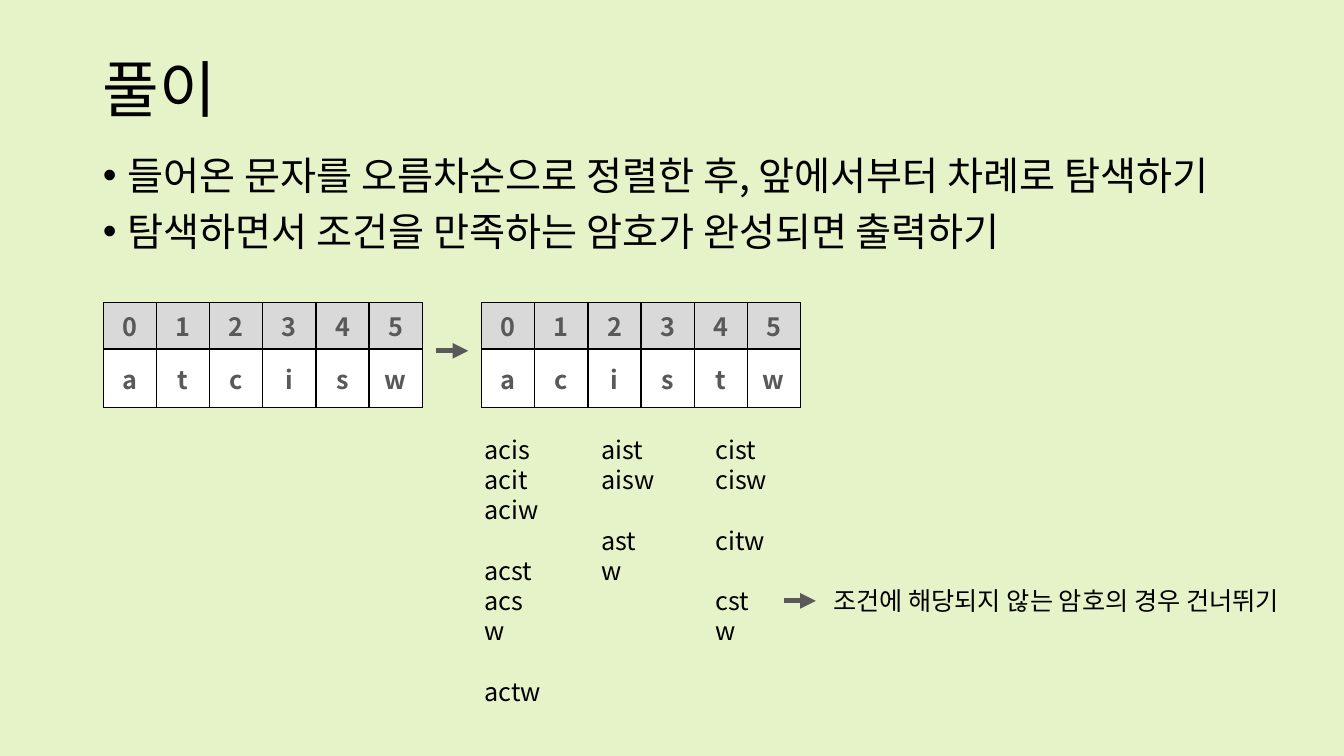
from dataclasses import dataclass
from typing import Any

from lxml.etree import SubElement
from pptx import Presentation
from pptx.dml.color import RGBColor
from pptx.enum.shapes import MSO_CONNECTOR
from pptx.enum.text import MSO_ANCHOR, MSO_AUTO_SIZE, PP_ALIGN
from pptx.oxml.ns import qn
from pptx.util import Cm, Pt

HUES = {"back": "E6F3C9", "ink": "000000", "gray": "595959", "head": "D9D9D9", "cell": "FFFFFF"}
FACE = "Noto Sans CJK KR"
LINE = Pt(21.6)
TOP = 10.82

FRAME = {"word_wrap": True, "auto_size": MSO_AUTO_SIZE.NONE}
TITLE = {"alignment": PP_ALIGN.LEFT, "line_spacing": 0.9}
LIST = {"alignment": PP_ALIGN.LEFT, "line_spacing": 0.9, "space_before": Pt(10)}
CENTER = {"alignment": PP_ALIGN.CENTER}


@dataclass
class Grid:
    left: float
    word: str


@dataclass
class Codes:
    left: float
    width: float
    groups: list[list[str]]


@dataclass
class Arrow:
    left: float
    top: float


GRIDS = [Grid(2.61, "atcisw"), Grid(12.14, "acistw")]
CODES = [
    Codes(11.96, 1.93, [["acis", "acit", "aciw"], ["acst", "acsw"], ["actw"]]),
    Codes(14.91, 1.87, [["aist", "aisw"], ["astw"]]),
    Codes(17.78, 1.82, [["cist", "cisw"], ["citw"], ["cstw"]]),
]
ARROWS = [Arrow(11.0, 8.84), Arrow(19.76, 15.14)]


def tint(key: str) -> RGBColor:
    return RGBColor.from_string(HUES[key])


def dress(item: Any, form: dict[str, Any]) -> None:
    for name, value in form.items():
        setattr(item, name, value)


def place(item: Any, left: float, top: float, width: float, height: float) -> None:
    dress(item, {"left": Cm(left), "top": Cm(top), "width": Cm(width), "height": Cm(height)})


def write(para: Any, text: str, size: int, hue: str = "ink", bold: bool = False) -> None:
    run = para.add_run()
    run.text = text
    dress(run.font, {"name": FACE, "size": Pt(size), "bold": bold})
    run.font.color.rgb = tint(hue)
    SubElement(run.font._element, qn("a:ea"), typeface=FACE)


def next_para(frame: Any, first: bool) -> Any:
    return frame.paragraphs[0] if first else frame.add_paragraph()


def add_title(slide: Any, text: str) -> None:
    title = slide.shapes.title
    place(title, 2.34, 1.02, 29.2, 2.64)
    dress(title.text_frame, FRAME | {"vertical_anchor": MSO_ANCHOR.MIDDLE})
    para = title.text_frame.paragraphs[0]
    dress(para, TITLE)
    write(para, text, 44)


def add_list(slide: Any, lines: list[str]) -> None:
    body = slide.placeholders[1]
    place(body, 2.34, 3.81, 29.3, 14.22)
    dress(body.text_frame, FRAME)
    for i, text in enumerate(lines):
        para = next_para(body.text_frame, i == 0)
        dress(para, LIST)
        props = para._p.get_or_add_pPr()
        props.set("marL", str(Cm(0.63)))
        props.set("indent", str(-Cm(0.63)))
        SubElement(props, qn("a:buFont"), typeface="Arial")
        SubElement(props, qn("a:buChar"), char="•")
        write(para, text, 28)


def edge(cell: Any) -> None:
    props = cell._tc.get_or_add_tcPr()
    for side in ("lnL", "lnR", "lnT", "lnB"):
        line = SubElement(props, qn(f"a:{side}"), w=str(Pt(1)))
        fill = SubElement(line, qn("a:solidFill"))
        SubElement(fill, qn("a:srgbClr"), val=HUES["ink"])


def add_grid(slide: Any, grid: Grid) -> None:
    count = len(grid.word)
    table = slide.shapes.add_table(
        2, count, Cm(grid.left), Cm(7.62), Cm(8.03), Cm(2.36)
    ).table
    for row, tall in zip(table.rows, (0.89, 1.47)):
        row.height = Cm(tall)
    rows = [("head", range(count)), ("cell", grid.word)]
    for r, (hue, marks) in enumerate(rows):
        for c, mark in enumerate(marks):
            cell = table.cell(r, c)
            edge(cell)
            cell.fill.solid()
            cell.fill.fore_color.rgb = tint(hue)
            cell.vertical_anchor = MSO_ANCHOR.MIDDLE
            para = cell.text_frame.paragraphs[0]
            dress(para, CENTER)
            write(para, str(mark), 18, "gray", True)


def add_text(slide: Any, left: float, top: float, width: float, groups: list[list[str]]) -> None:
    box = slide.shapes.add_textbox(Cm(left), Cm(top), Cm(width), Cm(1.03))
    dress(box.text_frame, FRAME | {"auto_size": MSO_AUTO_SIZE.SHAPE_TO_FIT_TEXT})
    for g, group in enumerate(groups):
        for i, text in enumerate(group):
            para = next_para(box.text_frame, g == i == 0)
            para.space_before = LINE if g and i == 0 else Pt(0)
            write(para, text, 18)


def add_arrow(slide: Any, arrow: Arrow) -> None:
    y = Cm(arrow.top)
    link = slide.shapes.add_connector(
        MSO_CONNECTOR.STRAIGHT, Cm(arrow.left), y, Cm(arrow.left + 0.8), y
    )
    link.line.width = Pt(3.75)
    link.line.color.rgb = tint("gray")
    SubElement(link.line._get_or_add_ln(), qn("a:tailEnd"), type="triangle")
    SubElement(link._element.spPr, qn("a:effectLst"))


def main() -> None:
    deck = Presentation()
    dress(deck, {"slide_width": Cm(33.87), "slide_height": Cm(19.05)})
    slide = deck.slides.add_slide(deck.slide_layouts[1])
    slide.background.fill.solid()
    slide.background.fill.fore_color.rgb = tint("back")
    add_title(slide, "풀이")
    add_list(slide, [
        "들어온 문자를 오름차순으로 정렬한 후, 앞에서부터 차례로 탐색하기",
        "탐색하면서 조건을 만족하는 암호가 완성되면 출력하기",
    ])
    for grid in GRIDS:
        add_grid(slide, grid)
    for codes in CODES:
        add_text(slide, codes.left, TOP, codes.width, codes.groups)
    for arrow in ARROWS:
        add_arrow(slide, arrow)
    add_text(slide, 20.75, TOP + 5 * LINE.cm, 12.32, [["조건에 해당되지 않는 암호의 경우 건너뛰기"]])
    deck.save("out.pptx")


main()
